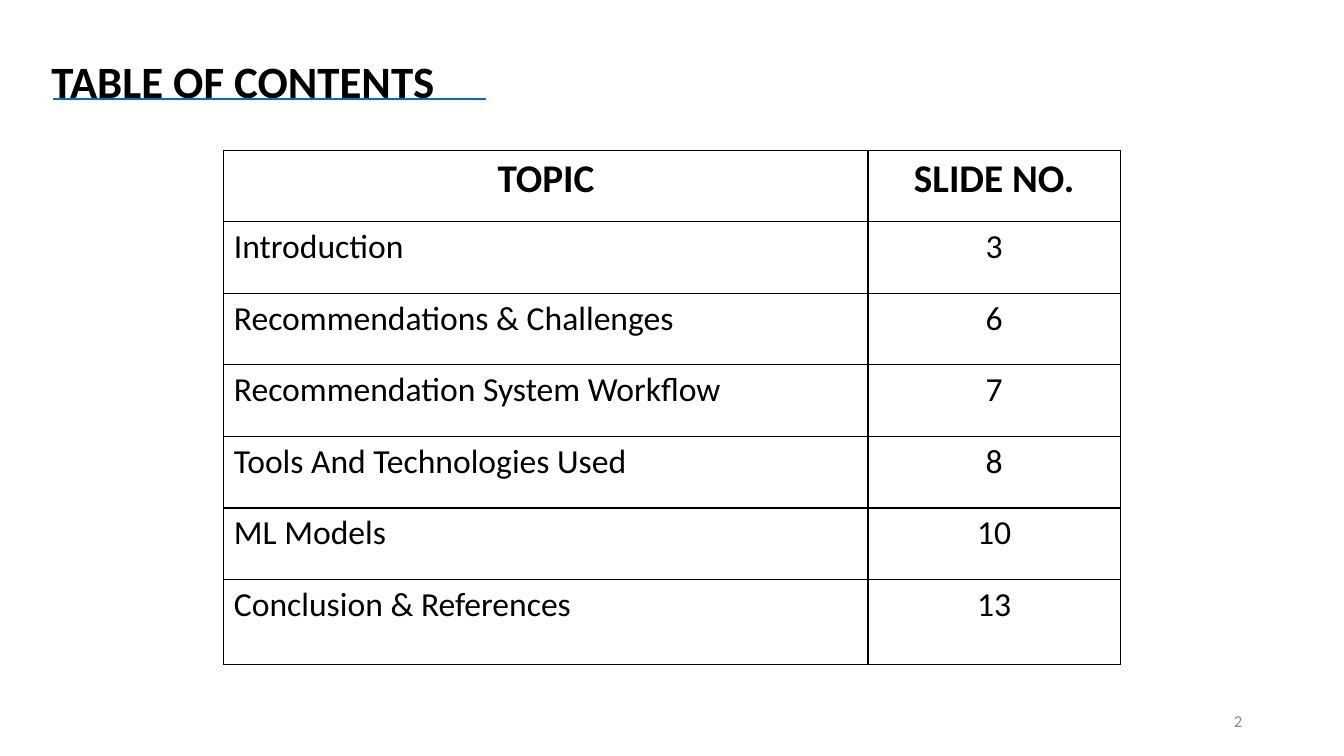
"""Build a table-of-contents slide with an underlined title and a page number."""
from lxml import etree
from pptx import Presentation
from pptx import util as u
from pptx.dml.color import RGBColor
from pptx.enum import shapes, text
from pptx.oxml import ns

PX = 9144
BLACK = RGBColor(0x00, 0x00, 0x00)
WHITE = RGBColor(0xFF, 0xFF, 0xFF)
BLUE = RGBColor(0x00, 0x70, 0xC0)
GREY = RGBColor(0x8C, 0x8C, 0x8C)

LEFT, CENTER, RIGHT = text.PP_ALIGN.LEFT, text.PP_ALIGN.CENTER, text.PP_ALIGN.RIGHT
TITLE_FONT = {"size": u.Pt(32), "bold": True}
HEADER_FONT = {"size": u.Pt(28), "bold": True}
ENTRY_FONT = {"size": u.Pt(24), "bold": False}
NUMBER_FONT = {"size": u.Pt(12), "bold": False}

CONTENTS = [
    ("TOPIC", "SLIDE NO."),
    ("Introduction", "3"),
    ("Recommendations & Challenges", "6"),
    ("Recommendation System Workflow", "7"),
    ("Tools And Technologies Used", "8"),
    ("ML Models", "10"),
    ("Conclusion & References", "13"),
]
COLUMN_WIDTHS = [639, 250]
ROW_HEIGHTS = [71] * 6 + [84]


def px(*lengths):
    return [u.Emu(length * PX) for length in lengths]


def write(frame, wording, font, align=LEFT, color=BLACK):
    frame.text = wording
    paragraph = frame.paragraphs[0]
    paragraph.alignment = align
    run_font = paragraph.runs[0].font
    for name, value in {"name": "Calibri", **font}.items():
        setattr(run_font, name, value)
    run_font.color.rgb = color


def add_title(slide, wording, box):
    title = slide.shapes.title
    for name, value in zip(("left", "top", "width", "height"), px(*box)):
        setattr(title, name, value)
    frame = title.text_frame
    settings = {
        "word_wrap": True,
        "auto_size": text.MSO_AUTO_SIZE.NONE,
        "vertical_anchor": text.MSO_ANCHOR.TOP,
    }
    for name, value in settings.items():
        setattr(frame, name, value)
    write(frame, wording, TITLE_FONT)


def add_underline(slide, start, end, y):
    underline = slide.shapes.add_connector(
        shapes.MSO_CONNECTOR.STRAIGHT, *px(start, y, end, y))
    underline.line.color.rgb = BLUE
    underline.line.width = u.Pt(1.5)
    etree.SubElement(underline._element.spPr, ns.qn("a:effectLst"))


def add_page_number(slide, number, box):
    frame = slide.shapes.add_textbox(*px(*box)).text_frame
    frame.word_wrap = True
    frame.vertical_anchor = text.MSO_ANCHOR.MIDDLE
    write(frame, number, NUMBER_FONT, RIGHT, GREY)


def add_borders(cell):
    properties = cell._tc.get_or_add_tcPr()
    for side in ("lnL", "lnR", "lnT", "lnB"):
        border = etree.SubElement(properties, ns.qn(f"a:{side}"), w=str(u.Pt(1)))
        fill = etree.SubElement(border, ns.qn("a:solidFill"))
        etree.SubElement(fill, ns.qn("a:srgbClr"), val=str(BLACK))


def add_contents_table(slide, left, top):
    table = slide.shapes.add_table(
        len(CONTENTS), len(COLUMN_WIDTHS),
        *px(left, top, sum(COLUMN_WIDTHS), sum(ROW_HEIGHTS))).table
    table.horz_banding = False
    for column, width in zip(table.columns, px(*COLUMN_WIDTHS)):
        column.width = width
    for row, height in zip(table.rows, px(*ROW_HEIGHTS)):
        row.height = height
    for r, entry in enumerate(CONTENTS):
        for c, wording in enumerate(entry):
            cell = table.cell(r, c)
            add_borders(cell)
            cell.fill.solid()
            cell.fill.fore_color.rgb = WHITE
            font = HEADER_FONT if r == 0 else ENTRY_FONT
            align = CENTER if r == 0 or c == 1 else LEFT
            write(cell.text_frame, wording, font, align)


def main():
    deck = Presentation()
    deck.slide_width, deck.slide_height = px(1333, 750)
    slide = deck.slides.add_slide(deck.slide_layouts.get_by_name("Title Only"))
    add_title(slide, "TABLE OF CONTENTS", (41, 48, 441, 64))
    add_underline(slide, 53, 482, 98)
    add_page_number(slide, "2", (942, 695, 300, 40))
    add_contents_table(slide, 222, 149)
    deck.save("out.pptx")


if __name__ == "__main__":
    main()
